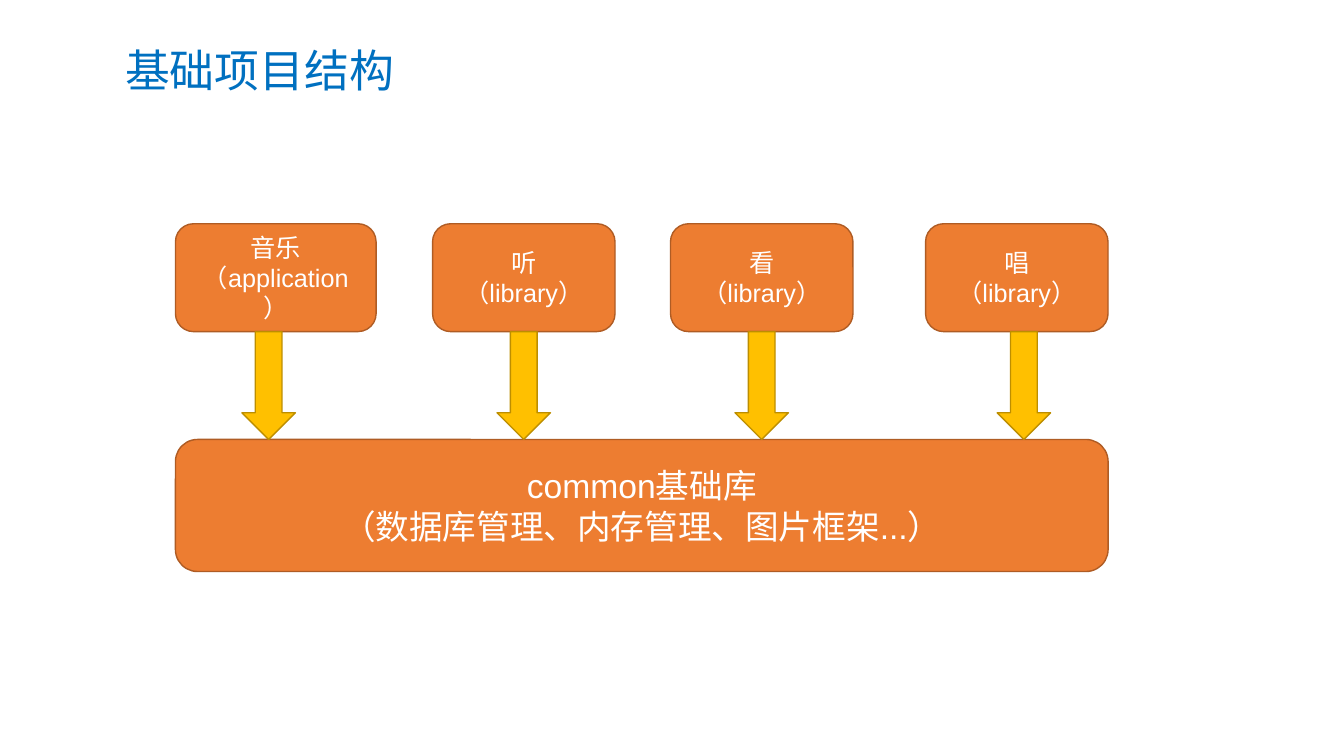
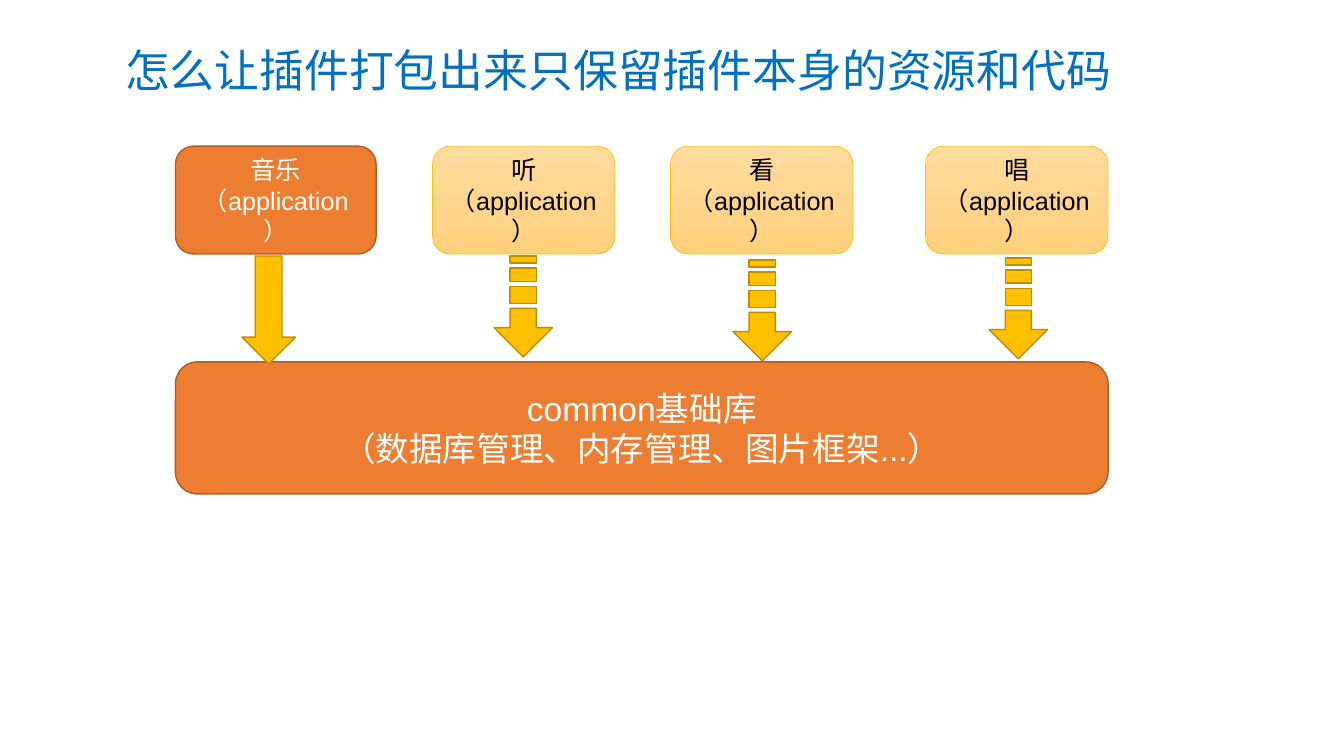
from pptx import Presentation
from pptx.dml.color import RGBColor
from pptx.enum.shapes import MSO_SHAPE
from pptx.enum.text import MSO_ANCHOR, MSO_AUTO_SIZE, PP_ALIGN
from pptx.util import Emu, Pt

ROUND_RECT = MSO_SHAPE.ROUNDED_RECTANGLE
DOWN_ARROW = MSO_SHAPE.DOWN_ARROW
MIDDLE = MSO_ANCHOR.MIDDLE
LEFT, CENTER = PP_ALIGN.LEFT, PP_ALIGN.CENTER

PX = 9144  # 100 px to the inch
FONT = "Arial"
TITLE_ONLY = 5

COLORS = {
    "title": "0070C0",
    "white": "FFFFFF",
    "black": "000000",
    "orange": "ED7D31",
    "orange_line": "AF5C24",
    "gold": "FFC000",
    "gold_line": "BD8E00",
    "plugin_top": "FFDB9E",
    "plugin_bottom": "FFD07C",
}

# Shared layout of the module row and the base library
MODULES = [("音乐", 174, 199), ("听", 429, 181), ("看", 665, 181), ("唱", 918, 181)]
MODULE_H = 107
BASE_GAP = 214  # from the top of the modules to the top of the base library
BASE_LINES = ["common基础库", "（数据库管理、内存管理、图片框架...）"]
ARROW_W, ARROW_H = 53, 107

# Dashed arrow, measured from the middle of its top edge
STRIPES = [(0, 7), (12, 25), (30, 47)]
SHAFT, HEAD = 13, 29  # half widths
NECK_Y, HEAD_Y, TIP_Y = 52, 71, 100


def px(*values):
    return [Emu(v * PX) for v in values]


def rgb(name):
    return RGBColor.from_string(COLORS[name])


def write(tf, lines, size, color, align=CENTER, spacing=None):
    """Fill a text frame with one paragraph per line."""
    tf.word_wrap = True
    tf.auto_size = MSO_AUTO_SIZE.NONE
    tf.vertical_anchor = MIDDLE
    for i, line in enumerate(lines):
        p = tf.add_paragraph() if i else tf.paragraphs[0]
        p.alignment = align
        p.line_spacing = spacing
        r = p.add_run()
        r.text = line
        r.font.size = Pt(size)
        r.font.name = FONT
        r.font.color.rgb = rgb(color)


def style(sp, fill, line, line_width=1):
    """A pair of colours as fill makes a gradient from top to bottom."""
    sp.shadow.inherit = False
    if isinstance(fill, tuple):
        sp.fill.gradient()
        sp.fill.gradient_angle = 270
        for stop, color in zip(sp.fill.gradient_stops, fill):
            stop.color.rgb = rgb(color)
    else:
        sp.fill.solid()
        sp.fill.fore_color.rgb = rgb(fill)
    sp.line.color.rgb = rgb(line)
    sp.line.width = Pt(line_width)


def add_box(slide, x, y, w, h, lines, size=18, plugin=False):
    sp = slide.shapes.add_shape(ROUND_RECT, *px(x, y, w, h))
    if plugin:
        style(sp, ("plugin_top", "plugin_bottom"), "gold", 0.5)
    else:
        style(sp, "orange", "orange_line")
    write(sp.text_frame, lines, size, "black" if plugin else "white")


def add_arrow(slide, cx, y):
    x = cx - ARROW_W // 2
    sp = slide.shapes.add_shape(DOWN_ARROW, *px(x, y, ARROW_W, ARROW_H))
    style(sp, "gold", "gold_line")


def add_dashed_arrow(slide, cx, y):
    contours = [[(-SHAFT, a), (SHAFT, a), (SHAFT, b), (-SHAFT, b)] for a, b in STRIPES]
    contours.append([(-SHAFT, NECK_Y), (SHAFT, NECK_Y), (SHAFT, HEAD_Y), (HEAD, HEAD_Y),
                     (0, TIP_Y), (-HEAD, HEAD_Y), (-SHAFT, HEAD_Y)])
    contours = [[(cx + dx, y + dy) for dx, dy in contour] for contour in contours]
    builder = slide.shapes.build_freeform(*contours[0][0], scale=PX)
    for i, (start, *rest) in enumerate(contours):
        if i:
            builder.move_to(*start)
        builder.add_line_segments(rest, close=True)
    style(builder.convert_to_shape(), "gold", "gold_line")


def add_structure_slide(prs, title, top, kinds, arrows, plugins=False):
    """Title, module row, base library and the arrows between them."""
    slide = prs.slides.add_slide(prs.slide_layouts[TITLE_ONLY])
    sp = slide.shapes.title
    sp.left, sp.top, sp.width, sp.height = px(114, 30, 1119, 84)
    write(sp.text_frame, [title], 32, "title", align=LEFT, spacing=0.9)

    # Base library, then the modules above it
    add_box(slide, 174, top + BASE_GAP, 925, 131, BASE_LINES, size=24)
    for i, ((name, x, w), kind) in enumerate(zip(MODULES, kinds)):
        add_box(slide, x, top, w, MODULE_H, [name, f"（{kind}）"],
                plugin=plugins and i > 0)

    # Arrows: dashed below the plugins
    for i, (cx, y) in enumerate(arrows):
        draw = add_dashed_arrow if plugins and i > 0 else add_arrow
        draw(slide, cx, y)


def main():
    prs = Presentation()
    prs.slide_width, prs.slide_height = px(1333, 750)

    add_structure_slide(
        prs, "基础项目结构", 222, ["application"] + ["library"] * 3,
        [(cx, 329) for cx in (266, 519, 755, 1015)])
    add_structure_slide(
        prs, "怎么让插件打包出来只保留插件本身的资源和代码", 145, ["application"] * 4,
        [(266, 254), (519, 254), (756, 258), (1010, 256)], plugins=True)

    prs.save("out.pptx")


if __name__ == "__main__":
    main()
